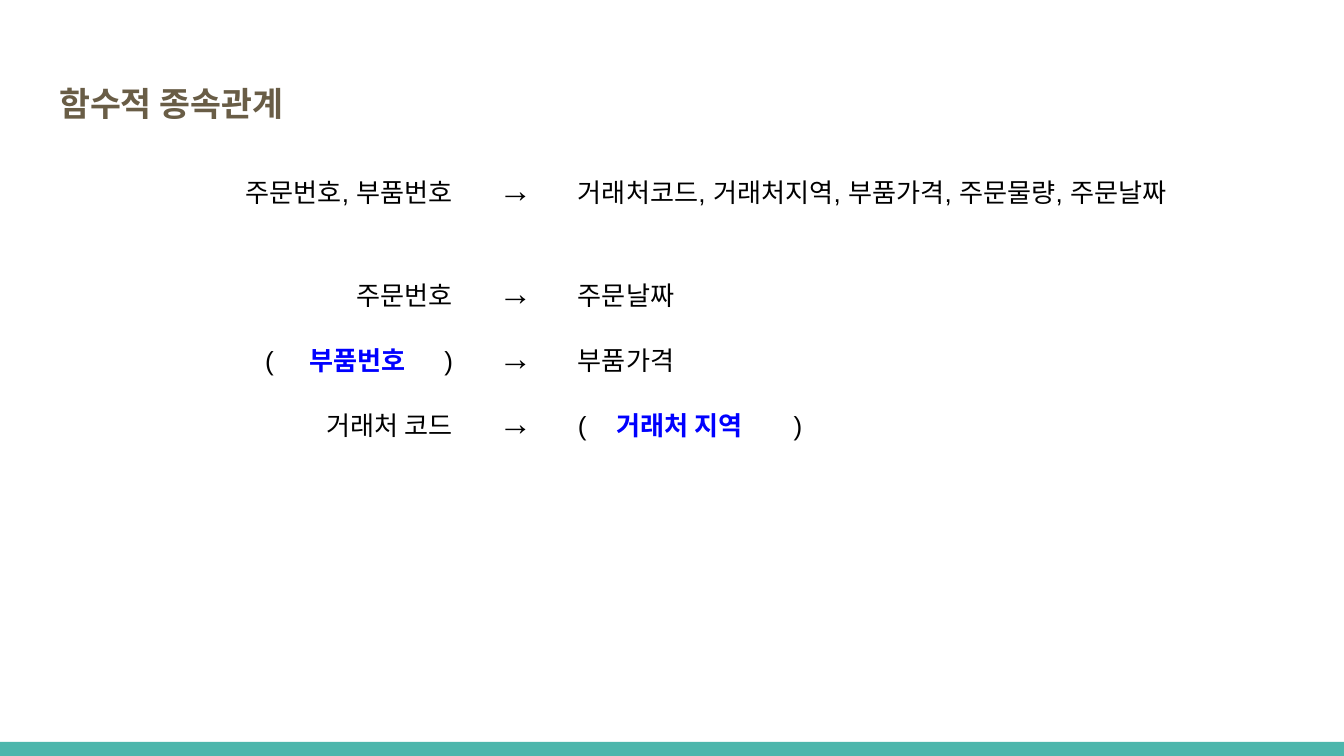
from pptx import Presentation
from pptx import util as u
from pptx.dml.color import RGBColor
from pptx.enum import shapes, text

COLORS = {"bar": "4DB6AC", "title": "695D46", "body": "000000", "answer": "0000FF"}
WIDTH = u.Inches(10)
HEIGHT = WIDTH * 9 // 16
COLUMNS = (2.85, 0.73, 4.96)
ROWS = (0.77, 0.48, 0.48, 0.48)
INSET = u.Inches(0.1)
DEPENDENCIES = (
    ([("주문번호, 부품번호", 0)], [("거래처코드, 거래처지역, 부품가격, 주문물량, 주문날짜", 0)]),
    ([("주문번호", 0)], [("주문날짜", 0)]),
    ([("( ", 7.5), ("부품번호", 0, "answer"), (" ", 17.5), (")", 0)], [("부품가격", 0)]),
    ([("거래처 코드", 0)], [("( ", 6), ("거래처 지역", 0, "answer"), (" ", 24), (")", 0)]),
)


def style_font(font, name, size, color, bold=False):
    """Set the face, size, colour and weight of a font."""
    font.name, font.size, font.bold = name, u.Pt(size), bold
    font.color.rgb = RGBColor.from_string(COLORS[color])


def set_insets(holder):
    """Give a text frame or table cell equal margins on all sides."""
    holder.margin_left = holder.margin_right = INSET
    holder.margin_top = holder.margin_bottom = INSET
    holder.vertical_anchor = text.MSO_ANCHOR.TOP


def add_bar(page):
    """Draw the coloured bar along the bottom edge."""
    top = u.Inches(5.52)
    bar = page.shapes.add_shape(shapes.MSO_SHAPE.RECTANGLE, 0, top, WIDTH, HEIGHT - top)
    bar.shadow.inherit = False
    bar.fill.solid()
    bar.fill.fore_color.rgb = RGBColor.from_string(COLORS["bar"])
    bar.line.fill.background()


def set_title(page, words):
    """Place and format the title placeholder."""
    title = page.shapes.title
    title.left, title.top = u.Inches(0.34), u.Inches(0.47)
    title.width, title.height = u.Inches(9.32), u.Inches(0.71)
    frame = title.text_frame
    frame.text = words
    frame.auto_size = text.MSO_AUTO_SIZE.NONE
    set_insets(frame)
    para = frame.paragraphs[0]
    para.alignment, para.line_spacing = text.PP_ALIGN.LEFT, 1.15
    style_font(para.font, "Open Sans", 18, "title", True)


def fill_cell(cell, spans, align, size=14, bold=False):
    """Write spans of (words, letter spacing in points, optional colour) in a clear cell."""
    cell.fill.background()
    set_insets(cell)
    para = cell.text_frame.paragraphs[0]
    para.alignment = align
    style_font(para.font, "Arial", size, "body", bold)
    for words, spacing, *color in spans:
        span = para.add_run()
        span.text = words
        style_font(span.font, "Arial", size, color[0] if color else "body", bold or bool(color))
        if spacing:
            span.font._element.set("spc", str(round(spacing * 100)))


def add_dependencies(page):
    """Lay out each determinant, arrow and dependent in a table row."""
    frame = page.shapes.add_table(
        len(ROWS), len(COLUMNS), u.Inches(0.62), u.Inches(1.18),
        u.Inches(sum(COLUMNS)), u.Inches(sum(ROWS)))
    table = frame.table
    table.first_row = table.horz_banding = False
    for column, width in zip(table.columns, COLUMNS):
        column.width = u.Inches(width)
    for row, height, (source, target) in zip(table.rows, ROWS, DEPENDENCIES):
        row.height = u.Inches(height)
        left, middle, right = row.cells
        fill_cell(left, source, text.PP_ALIGN.RIGHT)
        fill_cell(middle, [("→", 0)], text.PP_ALIGN.CENTER, 18, True)
        fill_cell(right, target, text.PP_ALIGN.LEFT)


def main():
    """Build the slide and save the deck."""
    deck = Presentation()
    deck.slide_width, deck.slide_height = WIDTH, HEIGHT
    page = deck.slides.add_slide(deck.slide_layouts.get_by_name("Title Only"))
    add_bar(page)
    set_title(page, "함수적 종속관계")
    add_dependencies(page)
    deck.save("out.pptx")


if __name__ == "__main__":
    main()
